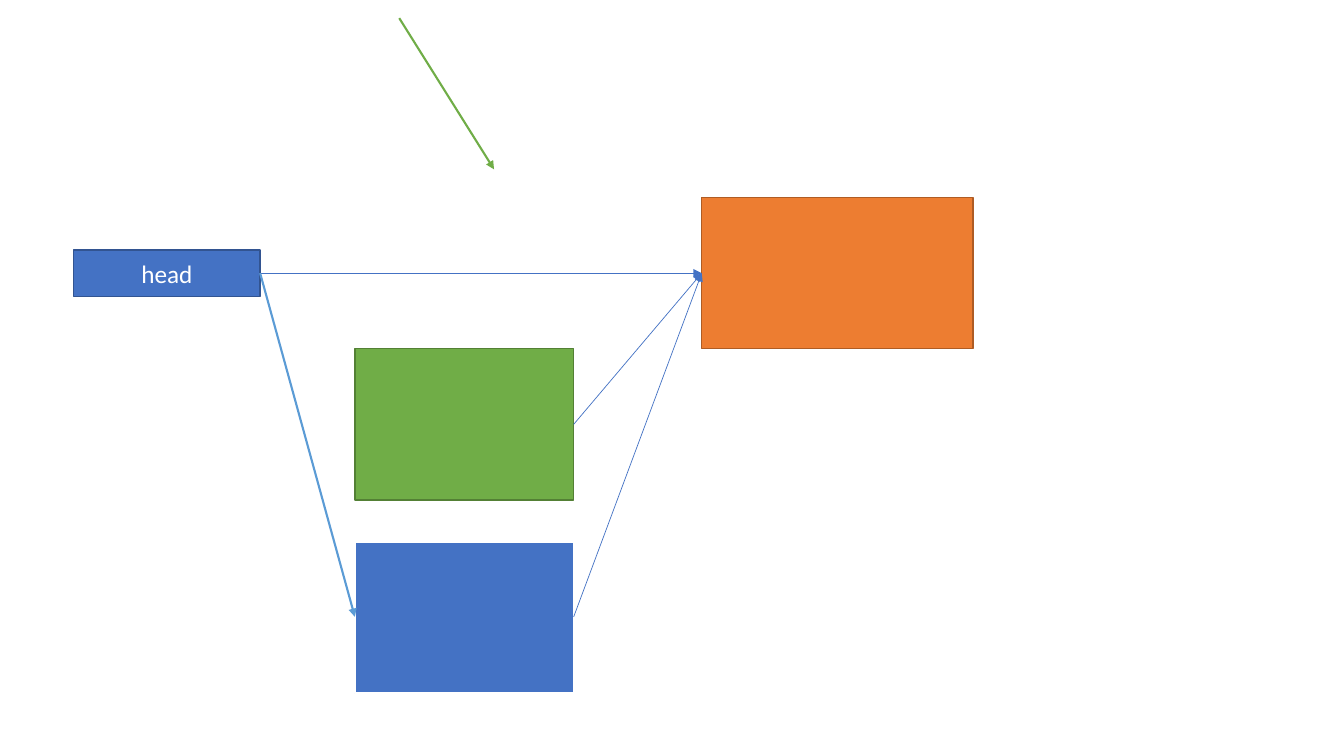
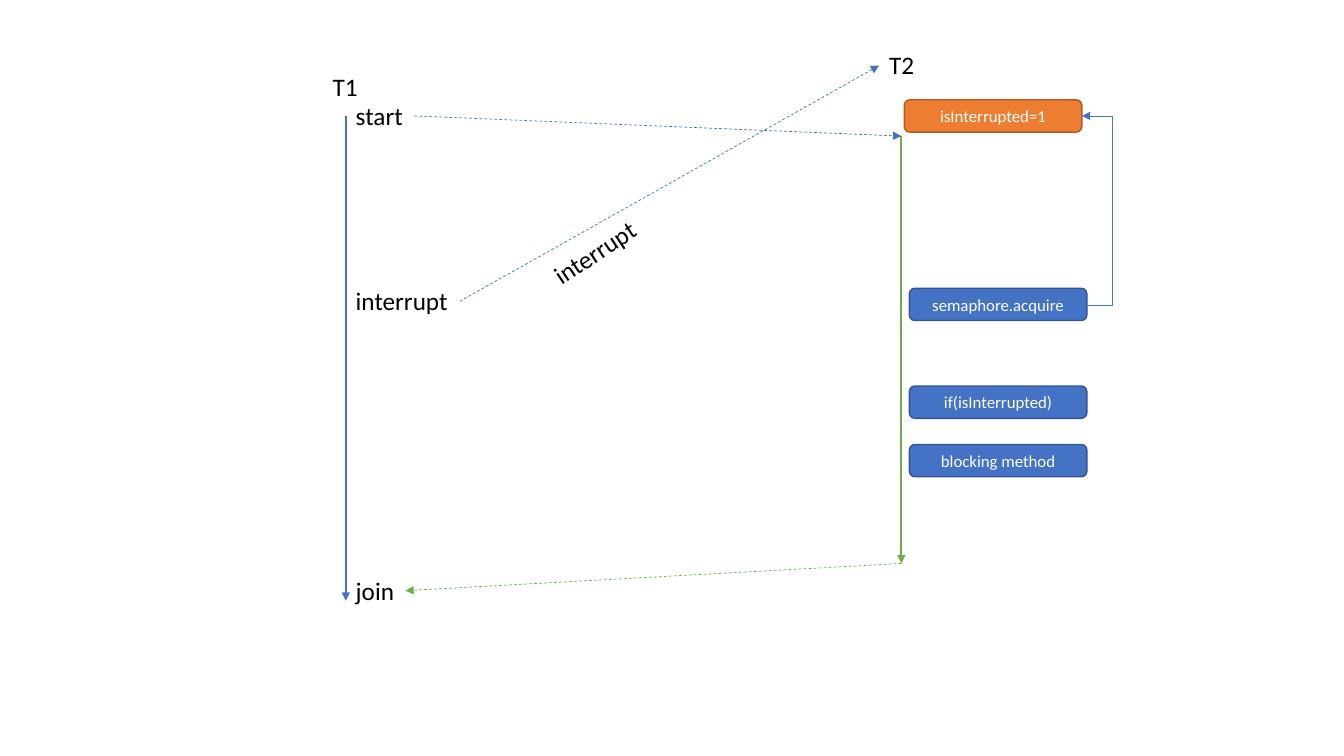
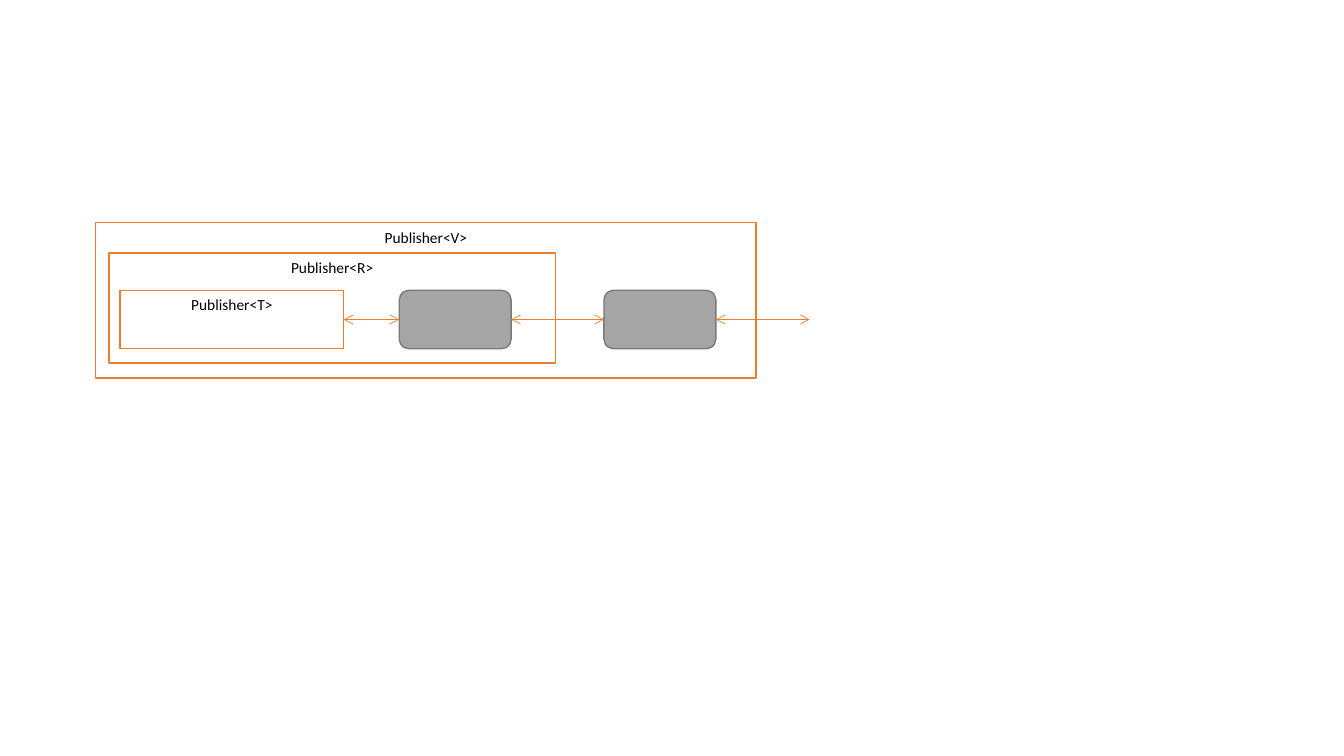
from lxml import etree
from pptx import Presentation
from pptx.dml.color import RGBColor
from pptx.enum.dml import MSO_LINE
from pptx.enum.shapes import MSO_CONNECTOR as Connector, MSO_SHAPE as Shape
from pptx.enum.text import MSO_ANCHOR as Anchor, MSO_AUTO_SIZE as AutoSize, PP_ALIGN as Align
from pptx.oxml.ns import qn
from pptx.util import Inches, Pt

COLORS = {
    "blue": "4472C4", "dark blue": "325491", "light blue": "5B9BD5",
    "orange": "ED7D31", "dark orange": "AF5C24",
    "green": "70AD47", "dark green": "538035",
    "gray": "A5A5A5", "dark gray": "7A7A7A",
    "white": "FFFFFF", "black": "000000",
}
FONT = "Calibri"


def color(name):
    """Return the named palette colour."""
    return RGBColor.from_string(COLORS[name])


def write(frame, text, size, ink, align):
    """Put one formatted line of text into a frame."""
    para = frame.paragraphs[0]
    para.alignment = align
    span = para.add_run()
    span.text = text
    for name, value in {"name": FONT, "size": Pt(size)}.items():
        setattr(span.font, name, value)
    span.font.color.rgb = color(ink)


def add_box(page, place, fill, edge, text="", kind=Shape.RECTANGLE, size=18,
            ink="white", anchor=Anchor.MIDDLE, weight=1):
    """Add a filled box with an optional centred label."""
    box = page.shapes.add_shape(kind, *map(Inches, place))
    box.shadow.inherit = False
    box.fill.solid()
    box.fill.fore_color.rgb = color(fill)
    box.line.color.rgb = color(edge)
    box.line.width = Pt(weight)
    if text:
        box.text_frame.vertical_anchor = anchor
        write(box.text_frame, text, size, ink, Align.CENTER)


def add_label(page, text, left, top, width, rotation=0):
    """Add a one-line text label that does not wrap."""
    box = page.shapes.add_textbox(*map(Inches, (left, top, width, 0.4)))
    box.rotation = rotation
    frame = box.text_frame
    for name, value in {"word_wrap": False, "auto_size": AutoSize.SHAPE_TO_FIT_TEXT}.items():
        setattr(frame, name, value)
    write(frame, text, 18, "black", Align.LEFT)


def add_arrow(page, start, end, ink="blue", weight=0.5, dashed=False, head=None,
              tail="triangle", bend=None):
    """Add a straight arrow, or an elbow whose bend is a share of its width."""
    kind = Connector.STRAIGHT if bend is None else Connector.ELBOW
    arrow = page.shapes.add_connector(kind, *map(Inches, start + end))
    arrow.line.color.rgb = color(ink)
    arrow.line.width = Pt(weight)
    if dashed:
        arrow.line.dash_style = MSO_LINE.DASH
    properties = arrow._element.spPr
    for tag, tip in (("a:headEnd", head), ("a:tailEnd", tail)):
        if tip:
            etree.SubElement(properties.find(qn("a:ln")), qn(tag), type=tip)
    etree.SubElement(properties, qn("a:effectLst"))
    if bend is not None:
        guides = properties.find(qn("a:prstGeom")).get_or_add_avLst()
        etree.SubElement(guides, qn("a:gd"), name="adj1", fmla=f"val {round(bend * 100000)}")


def build_list_page(page):
    """Draw the list head, its nodes and their references."""
    head, target = (2.58, 2.71), (6.96, 2.71)
    add_box(page, (6.96, 1.96, 2.69, 1.5), "orange", "dark orange")
    add_box(page, (0.73, 2.48, 1.85, 0.46), "blue", "dark blue", "head")
    add_box(page, (3.52, 3.46, 2.17, 1.5), "green", "dark green")
    add_box(page, (3.52, 5.38, 2.17, 1.5), "blue", "white", weight=1.5)
    for start in (head, (5.69, 4.21), (5.69, 6.12)):
        add_arrow(page, start, target)
    add_arrow(page, (3.96, 0.18), (4.9, 1.68), "green", 1.5)
    add_arrow(page, head, (3.52, 6.12), "light blue", 1.5)


def build_thread_page(page):
    """Draw two thread timelines and the signals between them."""
    first, second = 3.43, 8.94
    add_arrow(page, (first, 1.15), (first, 5.96), weight=1.5)
    add_arrow(page, (second, 1.35), (second, 5.59), "green", 1.5)
    for text, left, top, width in (
        ("T1", 3.2, 0.66, 0.45), ("T2", 8.72, 0.44, 0.45),
        ("start", first, 0.95, 0.67), ("interrupt", first, 2.78, 1.12),
        ("join", first, 5.66, 0.59),
    ):
        add_label(page, text, left, top, width)
    add_label(page, "interrupt", 5.34, 2.3, 1.12, rotation=326.5)
    for start, end, ink in (
        ((4.11, 1.15), (second, 1.35), "blue"),
        ((4.56, 2.99), (8.72, 0.65), "blue"),
        ((second, 5.59), (4.02, 5.86), "green"),
    ):
        add_arrow(page, start, end, ink, dashed=True)
    for text, left, top, hue in (
        ("isInterrupted=1", 8.97, 0.99, "orange"),
        ("semaphore.acquire", 9.02, 2.86, "blue"),
        ("if(isInterrupted)", 9.02, 3.83, "blue"),
        ("blocking method", 9.02, 4.41, "blue"),
    ):
        add_box(page, (left, top, 1.76, 0.32), hue, f"dark {hue}", text,
                Shape.ROUNDED_RECTANGLE, 12)
    add_arrow(page, (10.78, 3.03), (10.73, 1.15), bend=-5)


def build_publisher_page(page):
    """Draw nested publishers linked through their operators."""
    for letter, place in (
        ("V", (0.95, 2.21, 6.55, 1.54)),
        ("R", (1.08, 2.51, 4.43, 1.09)),
        ("T", (1.19, 2.88, 2.22, 0.58)),
    ):
        add_box(page, place, "white", "orange", f"Publisher<{letter}>",
                size=11, ink="black", anchor=Anchor.TOP)
    for left in (3.96, 5.99):
        add_box(page, (left, 2.88, 1.11, 0.58), "gray", "dark gray",
                kind=Shape.ROUNDED_RECTANGLE)
    for start, end in ((3.41, 3.96), (5.07, 5.99), (7.1, 8.03)):
        add_arrow(page, (start, 3.17), (end, 3.17), "orange", head="arrow", tail="arrow")


def main():
    """Build and save the deck."""
    deck = Presentation()
    deck.slide_width, deck.slide_height = Inches(13.33), Inches(7.5)
    for build in (build_list_page, build_thread_page, build_publisher_page):
        build(deck.slides.add_slide(deck.slide_layouts[6]))
    deck.save("out.pptx")


if __name__ == "__main__":
    main()
